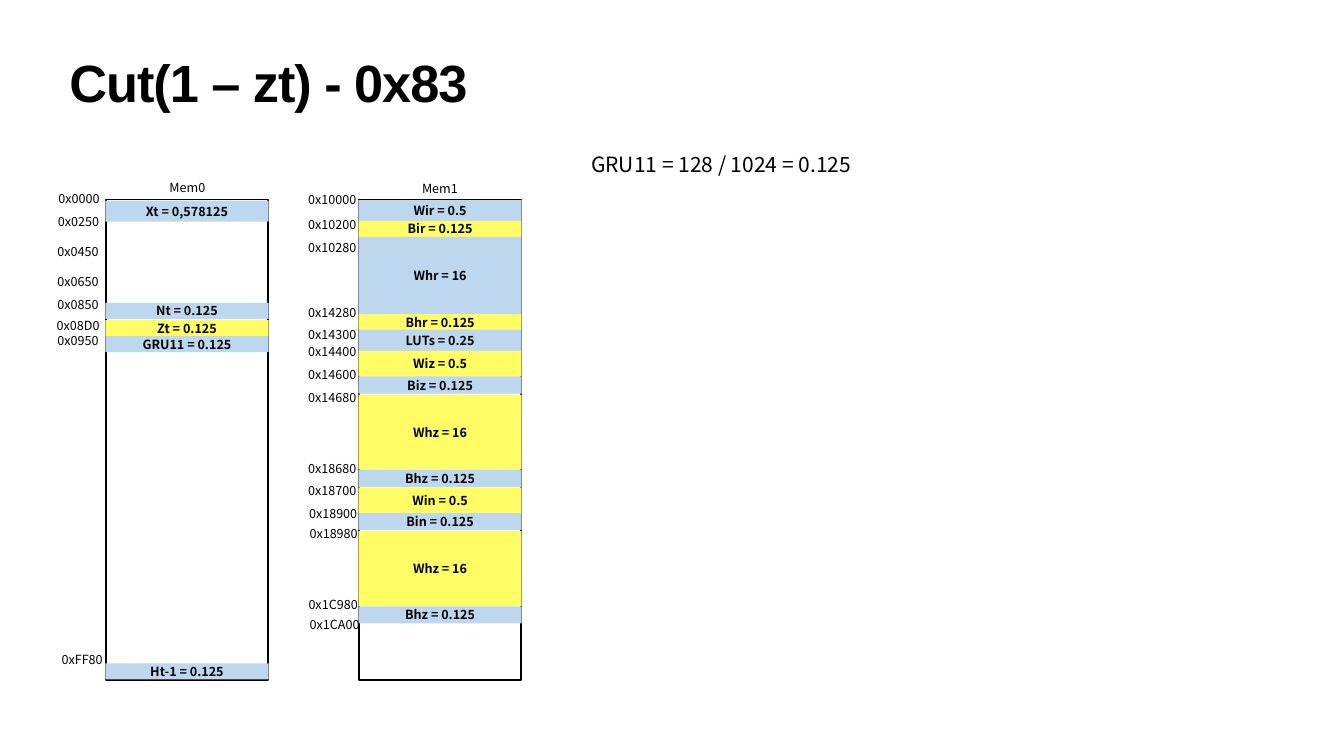
"""Draw the memory maps Mem0 and Mem1 with their addresses and stored blocks."""
from dataclasses import dataclass

from pptx import Presentation
from pptx import util as u
from pptx.dml import color
from pptx.enum import shapes, text

BLACK = "000000"
BLUE = "BDD7EE"
YELLOW = "FFFC66"
BODY_FONT = "Noto Sans CJK SC"
MAP_TOP, MAP_WIDTH, MAP_HEIGHT = 285.1, 231.8, 686.2
BLOCK_WIDTH = 233.3
LABEL_WIDTH, LABEL_HEIGHT = 79.2, 28.8


@dataclass(frozen=True)
class Block:
    caption: str
    top: float
    height: float
    fill: str = BLUE


@dataclass(frozen=True)
class Address:
    value: str
    top: float
    shift: float = 0


@dataclass(frozen=True)
class Memory:
    name: str
    left: float
    block_left: float
    name_left: float
    name_top: float
    address_left: float
    blocks: tuple[Block, ...]
    addresses: tuple[Address, ...]


MEMORIES = (
    Memory(
        "Mem0", 151.2, 150.5, 228.2, 253.4, 72,
        (
            Block("Xt = 0,578125", 286.6, 30.2),
            Block("Nt = 0.125", 432.7, 23),
            Block("Zt = 0.125", 457.2, 23, YELLOW),
            Block("GRU11 = 0.125", 480.2, 23),
            Block("Ht-1 = 0.125", 947.5, 23),
        ),
        (
            Address("0x0000", 269.3, 1.4),
            Address("0x0250", 301.7, 0.7),
            Address("0x0450", 345.6),
            Address("0x0650", 388.1),
            Address("0x0850", 421.2),
            Address("0x08D0", 450),
            Address("0x0950", 472.3),
            Address("0xFF80", 928.1, 5.8),
        ),
    ),
    Memory(
        "Mem1", 512.6, 512.2, 589, 254.2, 435,
        (
            Block("Wir = 0.5", 285.8, 30.2),
            Block("Bir = 0.125", 315.4, 23, YELLOW),
            Block("Whr = 16", 338.4, 110.2),
            Block("Bhr = 0.125", 448.6, 23, YELLOW),
            Block("LUTs = 0.25", 470.9, 31),
            Block("Wiz = 0.5", 501.1, 36.7, YELLOW),
            Block("Biz = 0.125", 537.8, 24.5),
            Block("Whz = 16", 563.8, 106.6, YELLOW),
            Block("Bhz = 0.125", 671, 24.5),
            Block("Win = 0.5", 696.2, 36.7, YELLOW),
            Block("Bin = 0.125", 733, 24.5),
            Block("Whz = 16", 758.9, 106.6, YELLOW),
            Block("Bhz = 0.125", 866.2, 24.5),
        ),
        (
            Address("0x10000", 270),
            Address("0x10200", 306),
            Address("0x10280", 339.8),
            Address("0x14280", 432.7),
            Address("0x14300", 463),
            Address("0x14400", 488.2),
            Address("0x14600", 520.6),
            Address("0x14680", 553.7),
            Address("0x18680", 654.5),
            Address("0x18700", 686.9),
            Address("0x18900", 718.6, 1.4),
            Address("0x18980", 747.4, 2.1),
            Address("0x1C980", 848.9, 1.4),
            Address("0x1CA00", 877.7, 3.5),
        ),
    ),
)


def rgb(value: str) -> color.RGBColor:
    return color.RGBColor.from_string(value)


def write(frame, wording: str, size: float, bold: bool = False,
          align=text.PP_ALIGN.CENTER, font: str = BODY_FONT,
          inset: float = 3.6, anchor=text.MSO_ANCHOR.TOP):
    frame.word_wrap = True
    frame.auto_size = text.MSO_AUTO_SIZE.NONE
    frame.vertical_anchor = anchor
    frame.margin_left = frame.margin_right = u.Pt(inset)
    frame.margin_top = frame.margin_bottom = u.Pt(inset)
    paragraph = frame.paragraphs[0]
    paragraph.alignment = align
    run = paragraph.add_run()
    run.text = wording
    run.font.name = font
    run.font.size = u.Pt(size)
    run.font.bold = bold
    run.font.color.rgb = rgb(BLACK)
    return run


def add_label(slide, wording: str, left: float, top: float) -> None:
    label = slide.shapes.add_textbox(
        u.Pt(left), u.Pt(top), u.Pt(LABEL_WIDTH), u.Pt(LABEL_HEIGHT))
    write(label.text_frame, wording, 18)


def add_rectangle(slide, left: float, top: float, width: float, height: float):
    rectangle = slide.shapes.add_shape(
        shapes.MSO_SHAPE.RECTANGLE,
        u.Pt(left), u.Pt(top), u.Pt(width), u.Pt(height))
    rectangle.shadow.inherit = False
    return rectangle


def add_block(slide, block: Block, left: float) -> None:
    area = add_rectangle(slide, left, block.top, BLOCK_WIDTH, block.height)
    area.fill.solid()
    area.fill.fore_color.rgb = rgb(block.fill)
    area.line.fill.background()
    write(area.text_frame, block.caption, 18, bold=True, inset=0,
          anchor=text.MSO_ANCHOR.MIDDLE)


def add_memory(slide, memory: Memory) -> None:
    outline = add_rectangle(slide, memory.left, MAP_TOP, MAP_WIDTH, MAP_HEIGHT)
    outline.fill.background()
    outline.line.color.rgb = rgb(BLACK)
    outline.line.width = u.Pt(2.25)
    add_label(slide, memory.name, memory.name_left, memory.name_top)
    for block in memory.blocks:
        add_block(slide, block, memory.block_left)
    for address in memory.addresses:
        add_label(slide, address.value,
                  memory.address_left + address.shift, address.top)


def add_heading(slide) -> None:
    heading = slide.shapes.title
    heading.left, heading.top = u.Pt(95), u.Pt(85)
    heading.width, heading.height = u.Pt(1730.2), u.Pt(113)
    run = write(heading.text_frame, "Cut(1 – zt) - 0x83", 74.8, bold=True,
                align=text.PP_ALIGN.LEFT, font="Arial", inset=4.3)
    run.font._element.set("spc", "-150")
    heading.text_frame.paragraphs[0].line_spacing = 0.8


def main() -> None:
    deck = Presentation()
    deck.slide_width, deck.slide_height = u.Pt(1920.24), u.Pt(1080)
    slide = deck.slides.add_slide(deck.slide_layouts[5])
    add_heading(slide)
    for memory in MEMORIES:
        add_memory(slide, memory)
    formula = slide.shapes.add_textbox(
        u.Pt(841), u.Pt(213.1), u.Pt(957.6), u.Pt(43.2))
    write(formula.text_frame, "GRU11 = 128 / 1024 = 0.125", 30,
          align=text.PP_ALIGN.LEFT)
    deck.save("out.pptx")


if __name__ == "__main__":
    main()
